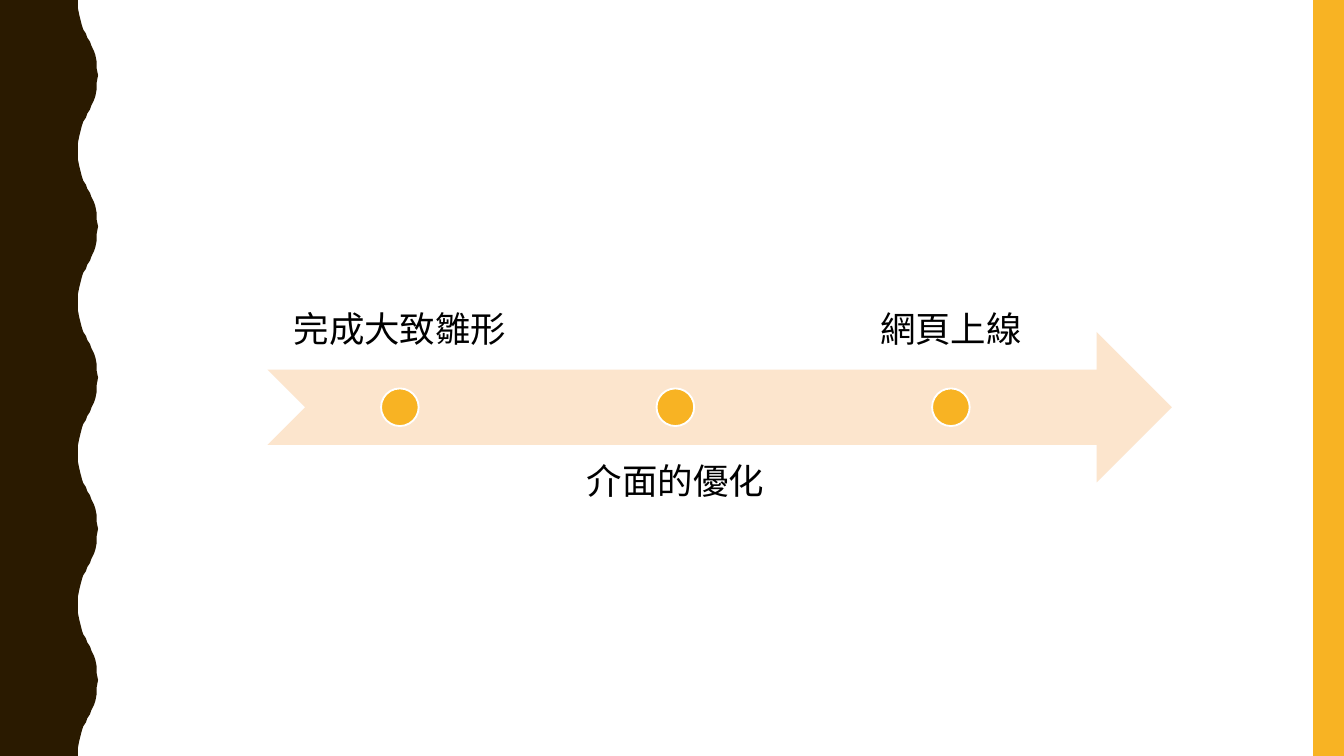
from dataclasses import dataclass

from lxml.etree import SubElement
from pptx import Presentation
from pptx.dml.color import RGBColor
from pptx.enum.shapes import MSO_SHAPE
from pptx.enum.text import MSO_ANCHOR, PP_ALIGN
from pptx.oxml.ns import qn
from pptx.shapes.autoshape import Shape
from pptx.shapes.group import GroupShape
from pptx.shapes.shapetree import SlideShapes
from pptx.util import Inches, Pt

BROWN = RGBColor(0x2A, 0x1A, 0x00)
AMBER = RGBColor(0xF8, 0xB3, 0x23)
PEACH = RGBColor(0xFC, 0xE5, 0xCD)
WHITE = RGBColor(0xFF, 0xFF, 0xFF)
BLACK = RGBColor(0x00, 0x00, 0x00)
FONT = "Noto Sans CJK SC"

WIDTH = 10
HEIGHT = WIDTH * 9 / 16
WAVES = 5
PERIOD = HEIGHT / WAVES
HALF_WAVE = [
    (0.58, 0), (0.58, 0.06), (0.59, 0.11), (0.6, 0.15), (0.61, 0.19),
    (0.62, 0.22), (0.64, 0.25), (0.65, 0.28), (0.67, 0.31), (0.68, 0.34),
    (0.7, 0.38), (0.71, 0.41), (0.72, 0.46), (0.72, 0.51), (0.73, 0.56),
]

LABEL_LEFT, LABEL_STEP = 2, 2.05
LABEL_W, LABEL_H = 1.95, 1.12
DOT_TOP, DOT_SIZE = 2.89, 0.28
TEXT_FRAME = {
    "word_wrap": True,
    **{f"margin_{side}": Inches(0.15) for side in ("left", "top", "right", "bottom")},
}
TEXT_FONT = {"name": FONT, "size": Pt(19)}


@dataclass
class Milestone:
    text: str
    top: float
    anchor: MSO_ANCHOR


MILESTONES = [
    Milestone("完成大致雛形", 1.63, MSO_ANCHOR.BOTTOM),
    Milestone("介面的優化", 3.31, MSO_ANCHOR.TOP),
    Milestone("網頁上線", 1.63, MSO_ANCHOR.BOTTOM),
]


def paint(sp: Shape, color: RGBColor) -> None:
    sp.shadow.inherit = False
    sp.fill.solid()
    sp.fill.fore_color.rgb = color
    sp.line.fill.background()


def add_filled(shapes: SlideShapes, kind: MSO_SHAPE, box: tuple, color: RGBColor) -> Shape:
    sp = shapes.add_shape(kind, *map(Inches, box))
    paint(sp, color)
    return sp


def add_wavy_edge(shapes: SlideShapes) -> None:
    wave = HALF_WAVE + [(x, PERIOD - y) for x, y in HALF_WAVE[-2:0:-1]]
    points = [(x, y + i * PERIOD) for i in range(WAVES) for x, y in wave]
    points += [(0.58, HEIGHT), (0, HEIGHT)]
    builder = shapes.build_freeform(0, 0)
    builder.add_line_segments([(Inches(x), Inches(y)) for x, y in points], close=True)
    paint(builder.convert_to_shape(), BROWN)


def add_milestone(group: GroupShape, item: Milestone, left: float) -> None:
    box = group.shapes.add_textbox(*map(Inches, (left, item.top, LABEL_W, LABEL_H)))
    tf = box.text_frame
    for name, value in TEXT_FRAME.items():
        setattr(tf, name, value)
    tf.vertical_anchor = item.anchor
    p = tf.paragraphs[0]
    p.alignment = PP_ALIGN.CENTER
    p.line_spacing = 0.9
    r = p.add_run()
    r.text = item.text
    for name, value in TEXT_FONT.items():
        setattr(r.font, name, value)
    r.font.color.rgb = BLACK
    SubElement(r.font._element, qn("a:ea"), typeface=FONT)

    dot_left = left + (LABEL_W - DOT_SIZE) / 2
    dot = add_filled(
        group.shapes, MSO_SHAPE.OVAL, (dot_left, DOT_TOP, DOT_SIZE, DOT_SIZE), AMBER
    )
    dot.line.color.rgb = WHITE
    dot.line.width = Pt(1)


def main() -> None:
    """Build the milestone timeline slide."""
    prs = Presentation()
    prs.slide_width, prs.slide_height = Inches(WIDTH), Inches(HEIGHT)
    s = prs.slides.add_slide(prs.slide_layouts[6])
    add_wavy_edge(s.shapes)
    add_filled(s.shapes, MSO_SHAPE.RECTANGLE, (9.77, 0, 0.23, HEIGHT), AMBER)

    timeline = s.shapes.add_group_shape()
    add_filled(
        timeline.shapes, MSO_SHAPE.NOTCHED_RIGHT_ARROW, (1.99, 2.47, 6.73, 1.12), PEACH
    )
    for i, item in enumerate(MILESTONES):
        add_milestone(timeline, item, LABEL_LEFT + i * LABEL_STEP)
    prs.save("out.pptx")


if __name__ == "__main__":
    main()
